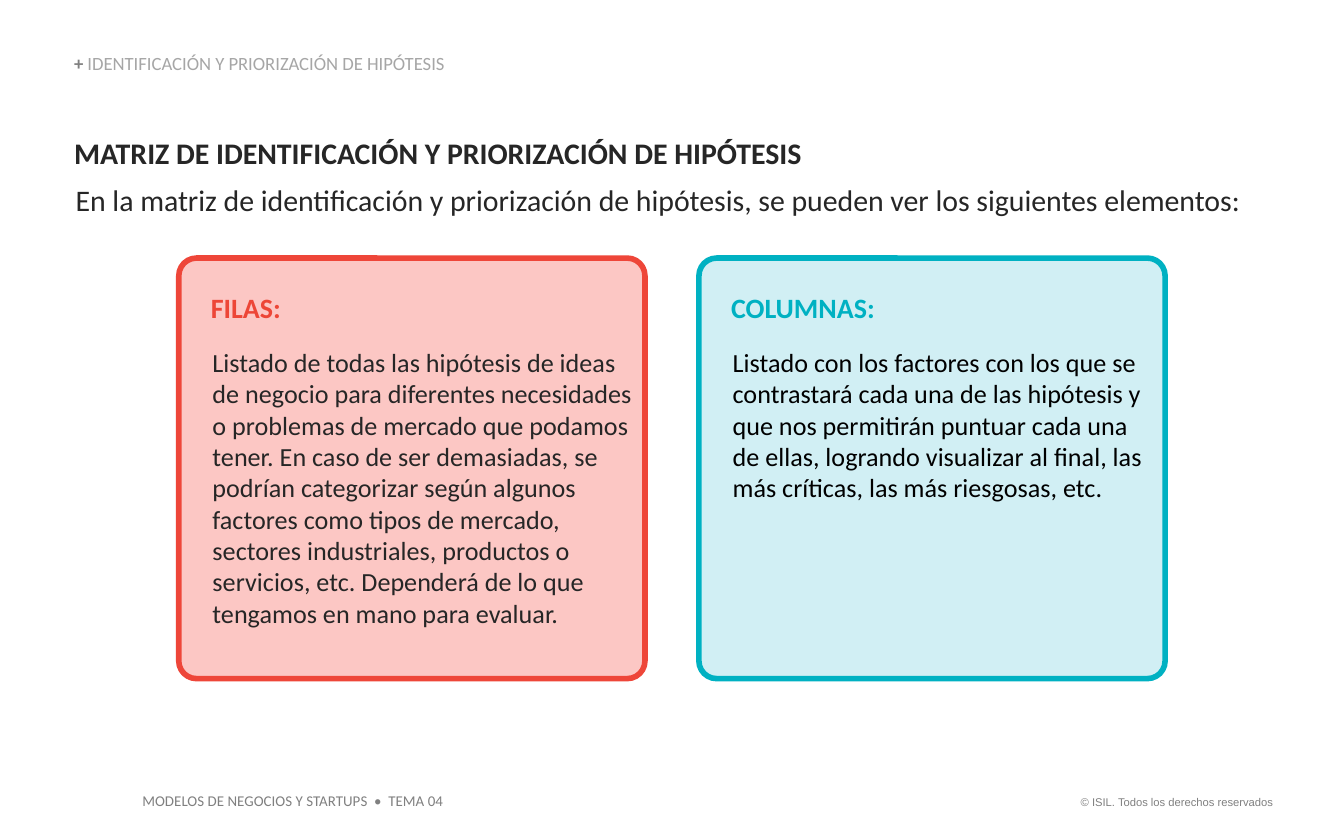
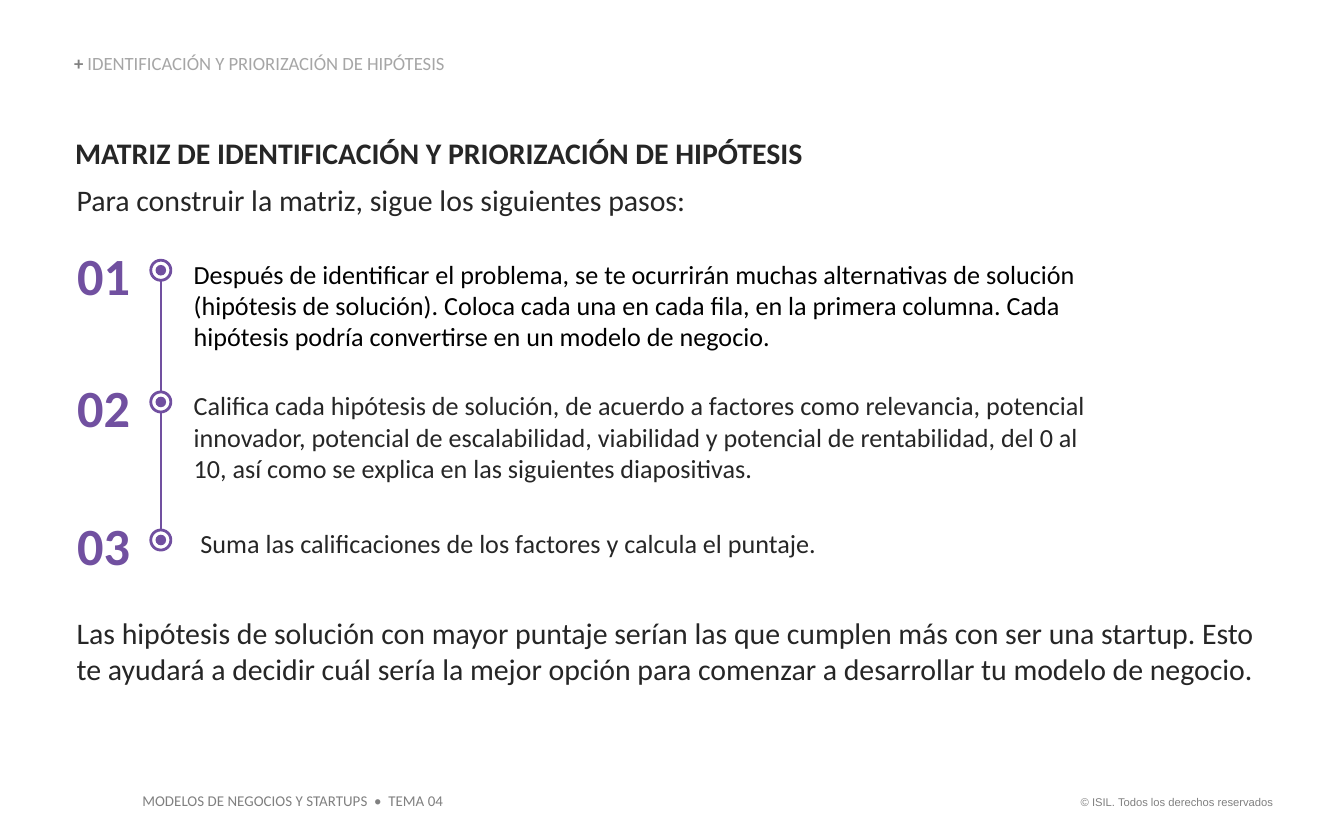
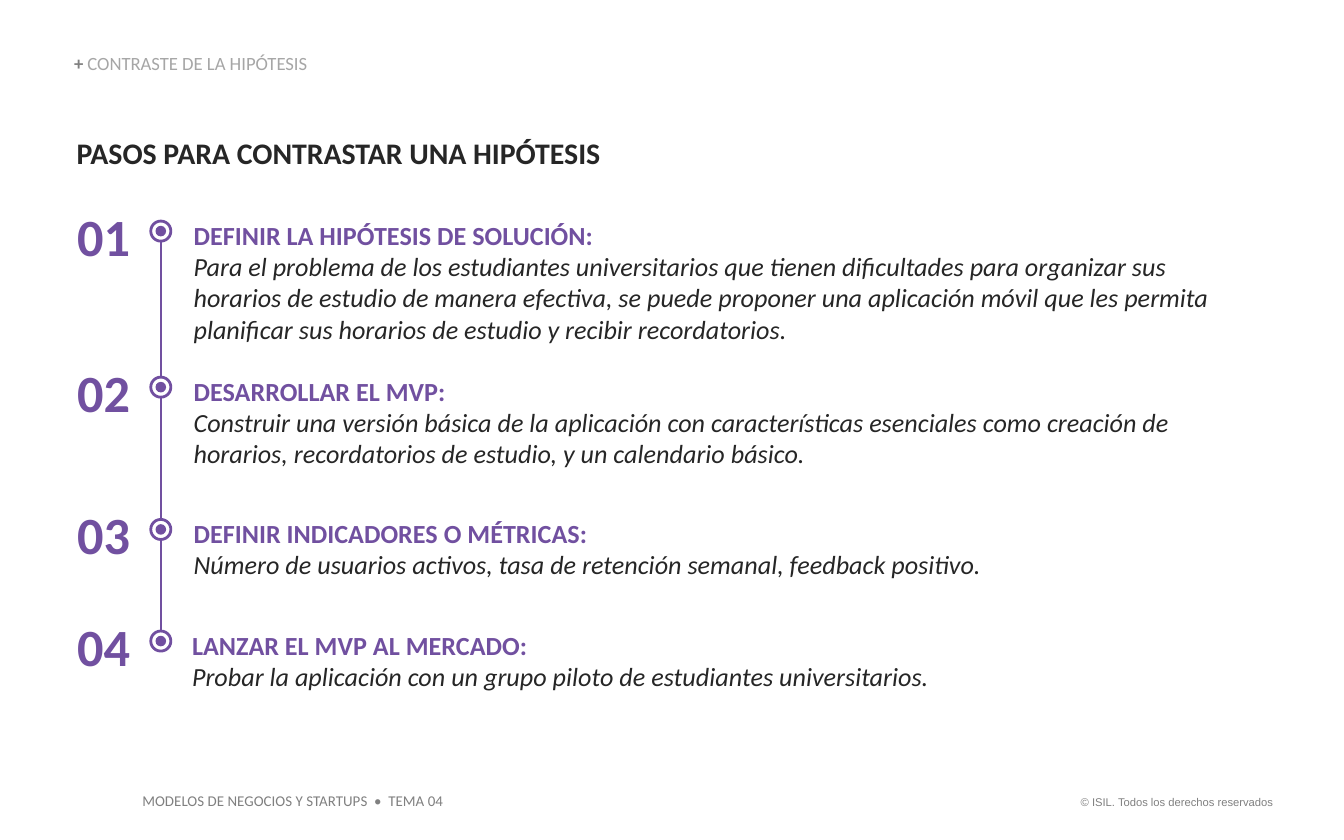
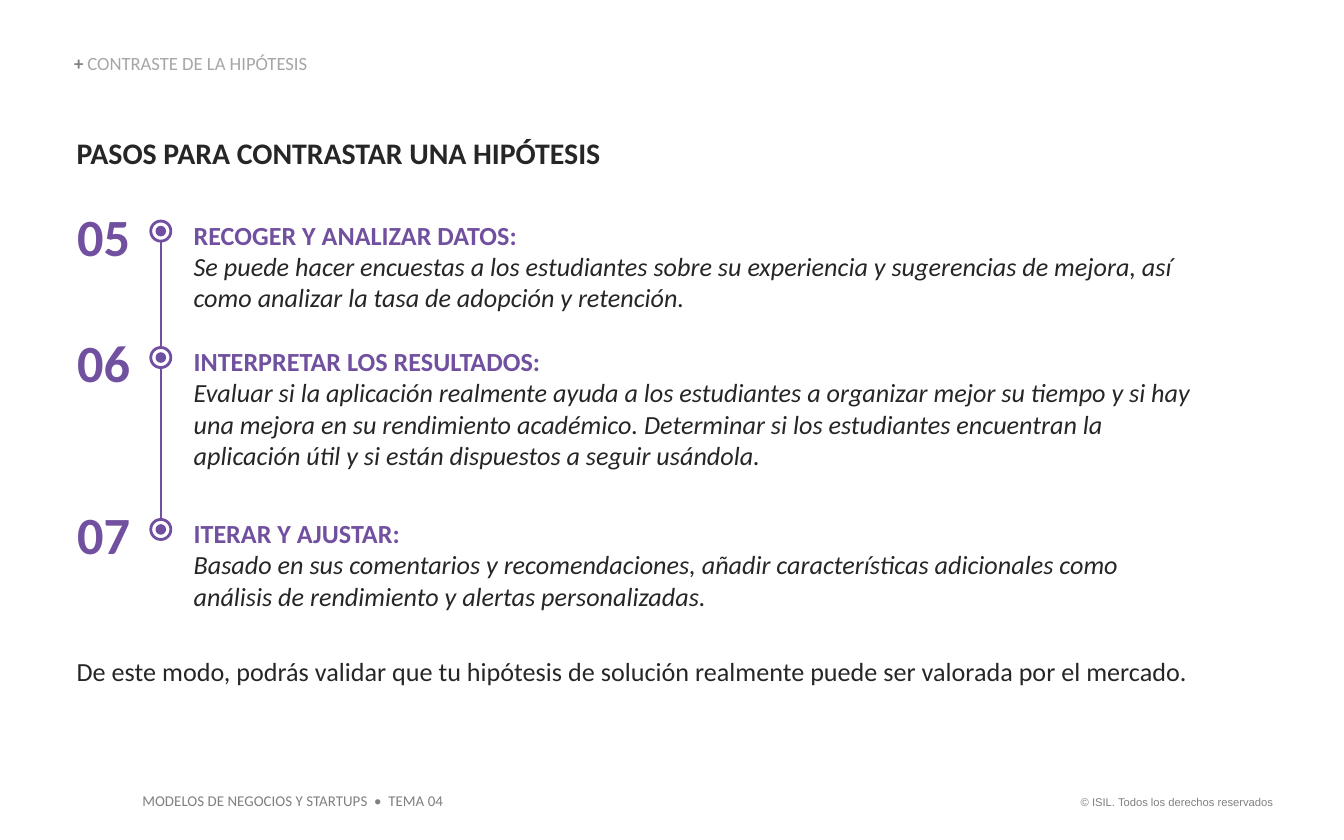
"""Build four slides on identifying, prioritising and testing hypotheses."""
import dataclasses
import typing

import pptx
import pptx.dml.color
import pptx.enum.shapes
import pptx.enum.text
import pptx.oxml.ns
import pptx.util
from lxml import etree

Cm = pptx.util.Cm
Pt = pptx.util.Pt
Shapes = pptx.enum.shapes.MSO_SHAPE
Align = pptx.enum.text.PP_ALIGN
Anchor = pptx.enum.text.MSO_ANCHOR
AutoSize = pptx.enum.text.MSO_AUTO_SIZE

COLORS = {
    "white": "FFFFFF",
    "black": "000000",
    "ink": "262626",
    "gray": "808080",
    "light_gray": "A6A6A6",
    "purple": "7150A0",
    "dot": "714FA0",
    "red": "EE4639",
    "red_text": "ED4637",
    "pink": "FCC7C4",
    "teal": "00B1C2",
    "pale_teal": "D1EFF4",
}
NO_INSETS = (0, 0, 0, 0)
FOOTER_INSETS = (0.25, 0.13, 0.25, 0.13)
CARD_INSETS = (0.51, 0.51, 0.1, 0.13)
INDENT = 0.03
MARGIN = 1.42
CONTENT_WIDTH = 22.7
LINE_HEIGHT = 0.6
RAIL_X = 3.04
NUMBER_WIDTH = 1.12
DOT_OFFSET = 0.32
DOT_SIZE = 0.38
DOT_CORE = 0.2
TEXT_OFFSET = 0.28


@dataclasses.dataclass(frozen=True)
class Style:
    size: float
    color: str = "ink"
    bold: bool = False
    italic: bool = False
    font: str = "Calibri"


@dataclasses.dataclass(frozen=True)
class Line:
    text: str
    style: Style
    indent: float = 0
    space_after: float = 0
    align: Align = Align.LEFT


@dataclasses.dataclass(frozen=True)
class Box:
    left: float
    top: float
    width: float
    height: float


@dataclasses.dataclass(frozen=True)
class Card:
    heading: str
    body: str
    fill: str
    border: str
    heading_color: str
    body_color: str


@dataclasses.dataclass(frozen=True)
class Step:
    number: str
    top: float
    body: str
    rows: int
    heading: str = ""
    color: str = "ink"
    left: float = 3.63
    width: float = 19.25


TITLE = Style(16, bold=True)
LEAD = Style(16)
BODY = Style(14)
EXAMPLE = Style(14, italic=True)
STEP_HEADING = Style(14, "purple", bold=True)
STEP_NUMBER = Style(28, "purple", bold=True)
CRUMB_MARK = Style(10, "gray", bold=True)
CRUMB = Style(10, "light_gray")
COURSE = Style(8, "gray")
COPYRIGHT = Style(6, "gray", font="Arial")

IDENTIFICATION = "IDENTIFICACIÓN Y PRIORIZACIÓN DE HIPÓTESIS"
MATRIX_TITLE = "MATRIZ DE " + IDENTIFICATION
CONTRAST = "CONTRASTE DE LA HIPÓTESIS"
CONTRAST_TITLE = "PASOS PARA CONTRASTAR UNA HIPÓTESIS"

CARDS = [
    Card(
        "FILAS:",
        "Listado de todas las hipótesis de ideas de negocio para diferentes necesidades o problemas "
        "de mercado que podamos tener. En caso de ser demasiadas, se podrían categorizar según "
        "algunos factores como tipos de mercado, sectores industriales, productos o servicios, etc. "
        "Dependerá de lo que tengamos en mano para evaluar.",
        "pink", "red", "red_text", "ink",
    ),
    Card(
        "COLUMNAS:",
        "Listado con los factores con los que se contrastará cada una de las hipótesis y que nos "
        "permitirán puntuar cada una de ellas, logrando visualizar al final, las más críticas, las "
        "más riesgosas, etc.",
        "pale_teal", "teal", "teal", "black",
    ),
]

MATRIX_STEPS = [
    Step(
        "01", 4.6,
        "Después de identificar el problema, se te ocurrirán muchas alternativas de solución "
        "(hipótesis de solución). Coloca cada una en cada fila, en la primera columna. Cada "
        "hipótesis podría convertirse en un modelo de negocio.",
        3, color="black", width=17.8,
    ),
    Step(
        "02", 7.09,
        "Califica cada hipótesis de solución, de acuerdo a factores como relevancia, potencial "
        "innovador, potencial de escalabilidad, viabilidad y potencial de rentabilidad, del 0 al "
        "10, así como se explica en las siguientes diapositivas.",
        3, width=17.48,
    ),
    Step(
        "03", 9.7,
        "Suma las calificaciones de los factores y calcula el puntaje.",
        1, left=3.76, width=16.3,
    ),
]

FIRST_CONTRAST_STEPS = [
    Step(
        "01", 3.86,
        "Para el problema de los estudiantes universitarios que tienen dificultades para organizar "
        "sus horarios de estudio de manera efectiva, se puede proponer una aplicación móvil que les "
        "permita planificar sus horarios de estudio y recibir recordatorios.",
        4, "DEFINIR LA HIPÓTESIS DE SOLUCIÓN:",
    ),
    Step(
        "02", 6.81,
        "Construir una versión básica de la aplicación con características esenciales como creación "
        "de horarios, recordatorios de estudio, y un calendario básico.",
        3, "DESARROLLAR EL MVP:",
    ),
    Step(
        "03", 9.5,
        "Número de usuarios activos, tasa de retención semanal, feedback positivo.",
        2, "DEFINIR INDICADORES O MÉTRICAS:", width=18.92,
    ),
    Step(
        "04", 11.61,
        "Probar la aplicación con un grupo piloto de estudiantes universitarios.",
        2, "LANZAR EL MVP AL MERCADO:", left=3.6, width=18.92,
    ),
]

LAST_CONTRAST_STEPS = [
    Step(
        "05", 3.86,
        "Se puede hacer encuestas a los estudiantes sobre su experiencia y sugerencias de mejora, "
        "así como analizar la tasa de adopción y retención.",
        3, "RECOGER Y ANALIZAR DATOS:",
    ),
    Step(
        "06", 6.25,
        "Evaluar si la aplicación realmente ayuda a los estudiantes a organizar mejor su tiempo y "
        "si hay una mejora en su rendimiento académico. Determinar si los estudiantes encuentran la "
        "aplicación útil y si están dispuestos a seguir usándola.",
        4, "INTERPRETAR LOS RESULTADOS:",
    ),
    Step(
        "07", 9.5,
        "Basado en sus comentarios y recomendaciones, añadir características adicionales como "
        "análisis de rendimiento y alertas personalizadas.",
        3, "ITERAR Y AJUSTAR:", width=18.92,
    ),
]


def rgb(name: str) -> pptx.dml.color.RGBColor:
    return pptx.dml.color.RGBColor.from_string(COLORS[name])


def format_run(run: typing.Any, style: Style) -> None:
    run.font.name = style.font
    run.font.size = Pt(style.size)
    run.font.bold = style.bold
    run.font.italic = style.italic
    run.font.color.rgb = rgb(style.color)


def write_lines(text_frame: typing.Any, lines: list[Line], insets: tuple) -> None:
    text_frame.margin_left, text_frame.margin_top, text_frame.margin_right, text_frame.margin_bottom = map(Cm, insets)
    text_frame.text = "\n".join(line.text for line in lines)
    for paragraph, line in zip(text_frame.paragraphs, lines):
        paragraph.alignment = line.align
        paragraph.space_after = Pt(line.space_after)
        properties = paragraph._p.get_or_add_pPr()
        properties.set("marL", str(Cm(line.indent)))
        properties.set("indent", "0")
        for run in paragraph.runs:
            format_run(run, line.style)


def add_text(slide: typing.Any, box: Box, lines: list[Line],
             insets: tuple = NO_INSETS, wrap: bool = True) -> typing.Any:
    shape = slide.shapes.add_textbox(Cm(box.left), Cm(box.top), Cm(box.width), Cm(box.height))
    write_lines(shape.text_frame, lines, insets)
    shape.text_frame.word_wrap = wrap
    shape.text_frame.auto_size = AutoSize.SHAPE_TO_FIT_TEXT
    return shape


def add_filled(shapes: typing.Any, kind: Shapes, box: Box, fill: str,
               border: str = "", border_width: float = 0) -> typing.Any:
    shape = shapes.add_shape(kind, Cm(box.left), Cm(box.top), Cm(box.width), Cm(box.height))
    shape.shadow.inherit = False
    shape.fill.solid()
    shape.fill.fore_color.rgb = rgb(fill)
    if border:
        shape.line.color.rgb = rgb(border)
        shape.line.width = Pt(border_width)
    else:
        shape.line.fill.background()
    return shape


def add_page(presentation: typing.Any, section: str) -> typing.Any:
    slide = presentation.slides.add_slide(presentation.slide_layouts[6])
    add_text(slide, Box(20.02, 14.91, 4.29, 0.51),
             [Line("© ISIL. Todos los derechos reservados", COPYRIGHT, align=Align.RIGHT)],
             FOOTER_INSETS, wrap=False)
    add_text(slide, Box(2.44, 14.83, 6.22, 0.61),
             [Line("MODELOS DE NEGOCIOS Y STARTUPS  •  TEMA 04", COURSE)], FOOTER_INSETS, wrap=False)
    crumb = add_text(slide, Box(1.4, 1.04, 10.8, 0.38), [Line("+ ", CRUMB_MARK)])
    crumb.text_frame.vertical_anchor = Anchor.BOTTOM
    paragraph = crumb.text_frame.paragraphs[0]
    paragraph.line_spacing = 0.9
    run = paragraph.add_run()
    run.text = section
    format_run(run, CRUMB)
    return slide


def add_matrix_heading(slide: typing.Any, left: float, lead: str) -> None:
    add_text(slide, Box(left, 2.54, CONTENT_WIDTH, 1.57),
             [Line(MATRIX_TITLE, TITLE, space_after=6), Line(lead, LEAD, INDENT)])


def add_card(slide: typing.Any, card: Card, left: float) -> None:
    shape = add_filled(slide.shapes, Shapes.ROUNDED_RECTANGLE, Box(left, 4.88, 8.81, 7.95),
                       card.fill, card.border, 3)
    shape.adjustments[0] = 0.042
    shape.text_frame.word_wrap = True
    shape.text_frame.vertical_anchor = Anchor.TOP
    heading = Line(card.heading, Style(15, card.heading_color, bold=True), space_after=12)
    body = Line(card.body, Style(14, card.body_color), INDENT)
    write_lines(shape.text_frame, [heading, body], CARD_INSETS)


def add_rail(slide: typing.Any, top: float, bottom: float) -> None:
    connector = slide.shapes.add_connector(pptx.enum.shapes.MSO_CONNECTOR.STRAIGHT,
                                           Cm(RAIL_X), Cm(top), Cm(RAIL_X), Cm(bottom))
    connector.line.color.rgb = rgb("purple")
    connector.line.width = Pt(1)
    etree.SubElement(connector._element.spPr, pptx.oxml.ns.qn("a:effectLst"))


def add_dot(slide: typing.Any, center_y: float) -> None:
    group = slide.shapes.add_group_shape()
    for size, fill, border in ((DOT_SIZE, "white", "dot"), (DOT_CORE, "dot", "")):
        box = Box(RAIL_X - size / 2, center_y - size / 2, size, size)
        add_filled(group.shapes, Shapes.OVAL, box, fill, border, 1.5)


def add_steps(slide: typing.Any, steps: list[Step]) -> None:
    dot_center = DOT_OFFSET + DOT_SIZE / 2
    add_rail(slide, steps[0].top + dot_center, steps[-1].top + dot_center)
    for step in steps:
        add_text(slide, Box(1.4, step.top, NUMBER_WIDTH, 1.19),
                 [Line(step.number, STEP_NUMBER, align=Align.CENTER)])
        if step.heading:
            lines = [Line(step.heading, STEP_HEADING, INDENT), Line(step.body, EXAMPLE, INDENT)]
        else:
            lines = [Line(step.body, Style(14, step.color), INDENT)]
        add_text(slide, Box(step.left, step.top + TEXT_OFFSET, step.width, step.rows * LINE_HEIGHT), lines)
        add_dot(slide, step.top + dot_center)


def add_matrix_elements(presentation: typing.Any) -> None:
    slide = add_page(presentation, IDENTIFICATION)
    add_matrix_heading(slide, 1.4, "En la matriz de identificación y priorización de hipótesis, "
                                   "se pueden ver los siguientes elementos:")
    for index, card in enumerate(CARDS):
        add_card(slide, card, 3.38 + index * 9.83)


def add_matrix_steps(presentation: typing.Any) -> None:
    slide = add_page(presentation, IDENTIFICATION)
    add_matrix_heading(slide, MARGIN, "Para construir la matriz, sigue los siguientes pasos:")
    add_steps(slide, MATRIX_STEPS)
    closing = ("Las hipótesis de solución con mayor puntaje serían las que cumplen más con ser una startup. "
               "Esto te ayudará a decidir cuál sería la mejor opción para comenzar a desarrollar tu "
               "modelo de negocio.")
    add_text(slide, Box(MARGIN, 11.63, CONTENT_WIDTH, 1.37), [Line(closing, LEAD, INDENT)])


def add_contrast_steps(presentation: typing.Any, steps: list[Step], closing: str = "") -> None:
    slide = add_page(presentation, CONTRAST)
    add_text(slide, Box(MARGIN, 2.54, CONTENT_WIDTH, 0.69), [Line(CONTRAST_TITLE, TITLE, INDENT)])
    add_steps(slide, steps)
    if closing:
        add_text(slide, Box(MARGIN, 12.4, CONTENT_WIDTH, LINE_HEIGHT), [Line(closing, BODY, INDENT)])


def main() -> None:
    presentation = pptx.Presentation()
    presentation.slide_width = Cm(25.4)
    presentation.slide_height = Cm(15.88)
    add_matrix_elements(presentation)
    add_matrix_steps(presentation)
    add_contrast_steps(presentation, FIRST_CONTRAST_STEPS)
    add_contrast_steps(presentation, LAST_CONTRAST_STEPS,
                       "De este modo, podrás validar que tu hipótesis de solución realmente puede "
                       "ser valorada por el mercado.")
    presentation.save("out.pptx")


if __name__ == "__main__":
    main()
